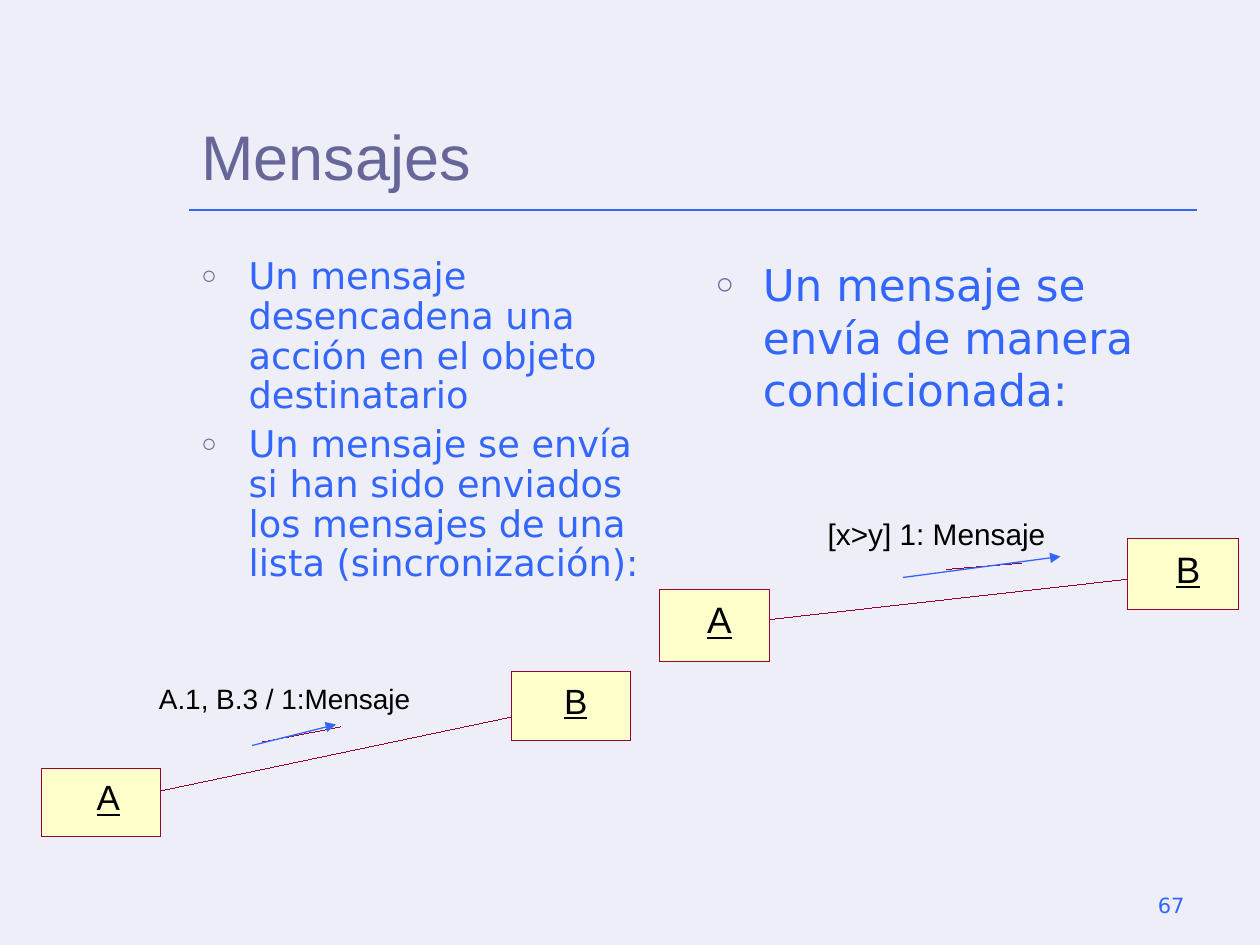
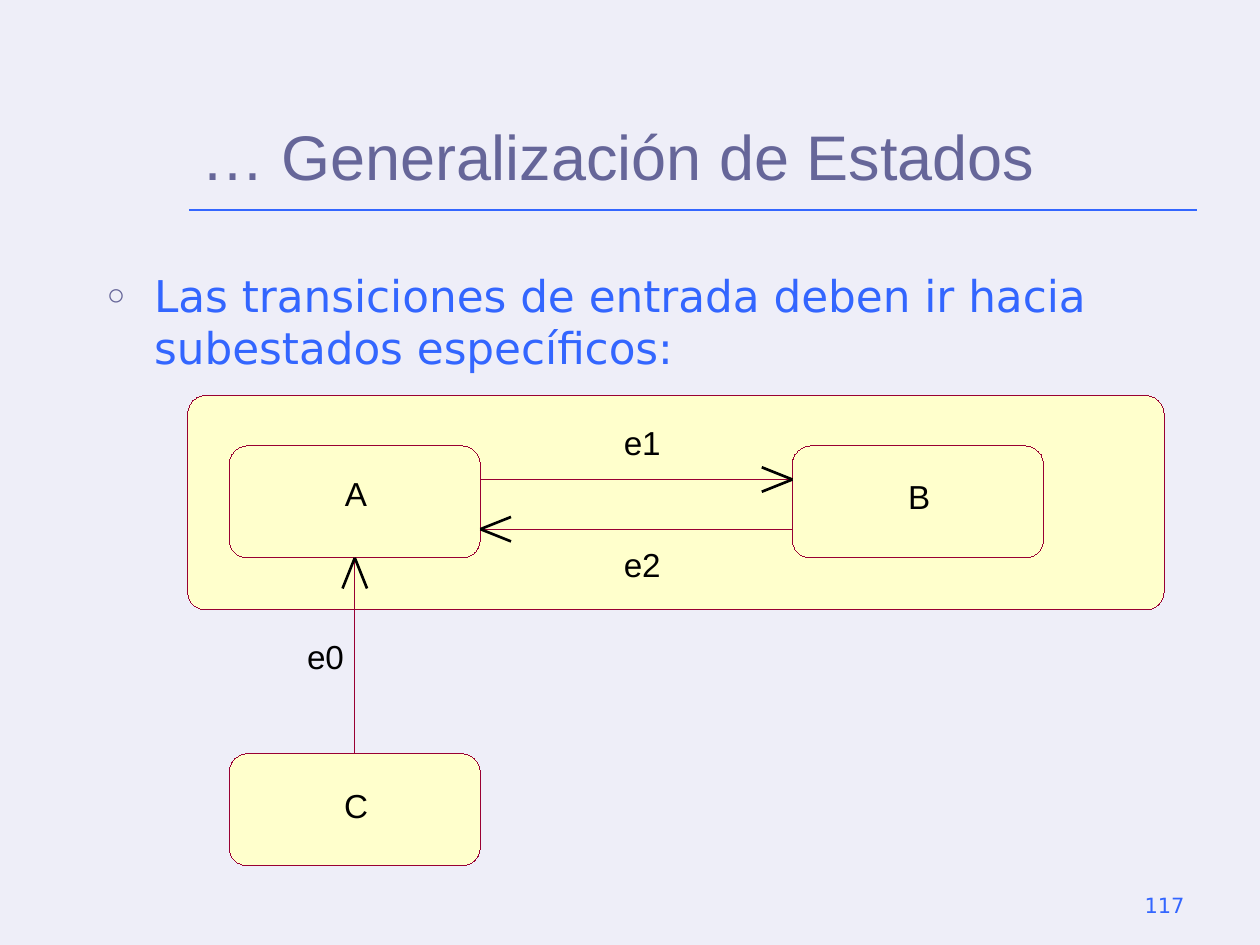
import math

from lxml import etree
from pptx import Presentation
from pptx.dml.color import RGBColor
from pptx.enum.shapes import MSO_CONNECTOR, MSO_SHAPE
from pptx.enum.text import MSO_ANCHOR, MSO_AUTO_SIZE, PP_ALIGN
from pptx.oxml.ns import qn
from pptx.util import Pt

# Shared style
BACKGROUND = RGBColor(0xEE, 0xEE, 0xF8)
BLUE = RGBColor(0x33, 0x66, 0xFF)
PURPLE = RGBColor(0x66, 0x66, 0x99)
YELLOW = RGBColor(0xFF, 0xFF, 0xCC)
CRIMSON = RGBColor(0x99, 0x00, 0x33)
BLACK = RGBColor(0, 0, 0)
DIAGRAM_FONT = "Arial"
BODY_FONT = "DejaVu Sans"

STRAIGHT = MSO_CONNECTOR.STRAIGHT
RECTANGLE = MSO_SHAPE.RECTANGLE
ROUNDED = MSO_SHAPE.ROUNDED_RECTANGLE
BOTTOM = MSO_ANCHOR.BOTTOM
CENTER = PP_ALIGN.CENTER
RIGHT = PP_ALIGN.RIGHT
GROW = MSO_AUTO_SIZE.SHAPE_TO_FIT_TEXT

TOP_SIDE, BOTTOM_SIDE = 0, 2
BULLET_INDENT = Pt(27)
HEAD_LENGTH, HEAD_HALF_WIDTH = 17.5, 7
STATE_WIDTH, STATE_HEIGHT = 143.5, 64
EVENT_WIDTH = 26
CORNER = 10.4


# Text
def add_text_frame(slide, left, top, width, height):
    box = slide.shapes.add_textbox(Pt(left), Pt(top), Pt(width), Pt(height))
    box.text_frame.word_wrap = True
    return box.text_frame


def add_run(paragraph, text, font_name, size, color, underline=None):
    run = paragraph.add_run()
    run.text = text
    run.font.name = font_name
    run.font.size = Pt(size)
    run.font.color.rgb = color
    run.font.underline = underline


def add_bullet(paragraph):
    properties = paragraph._p.get_or_add_pPr()
    properties.set("marL", str(BULLET_INDENT))
    properties.set("indent", str(-BULLET_INDENT))
    color = etree.SubElement(properties, qn("a:buClr"))
    etree.SubElement(color, qn("a:srgbClr"), val=str(PURPLE))
    etree.SubElement(properties, qn("a:buSzPct"), val="70000")
    etree.SubElement(properties, qn("a:buFont"), typeface=DIAGRAM_FONT)
    etree.SubElement(properties, qn("a:buChar"), char="○")


def add_bullets(slide, left, top, width, height, texts, size, line_spacing=None):
    frame = add_text_frame(slide, left, top, width, height)
    for index, text in enumerate(texts):
        paragraph = frame.add_paragraph() if index else frame.paragraphs[0]
        add_bullet(paragraph)
        paragraph.line_spacing = line_spacing
        paragraph.space_before = Pt(size / 4 if index else 0)
        add_run(paragraph, text, BODY_FONT, size, BLUE)


def add_label(slide, text, center_x, top, size, width=16, underline=None):
    frame = add_text_frame(slide, center_x - width / 2, top, width, size * 1.2)
    frame.margin_left = frame.margin_right = 0
    frame.margin_top = frame.margin_bottom = 0
    frame.word_wrap = False
    frame.auto_size = GROW
    frame.paragraphs[0].alignment = CENTER
    add_run(frame.paragraphs[0], text, DIAGRAM_FONT, size, BLACK, underline)


# Lines and boxes
def set_outline(shape, color, width):
    """Colour and width; a hairline needs its zero width written out."""
    shape.line.color.rgb = color
    outline = shape.line._get_or_add_ln()
    outline.set("w", str(Pt(width)))
    return outline


def add_line(slide, start, end, color=CRIMSON, width=0, arrow=False):
    line = slide.shapes.add_connector(STRAIGHT, *map(Pt, start + end))
    outline = set_outline(line, color, width)
    if arrow:
        etree.SubElement(outline, qn("a:tailEnd"), type="triangle")
    etree.SubElement(line._element.spPr, qn("a:effectLst"))
    return line


def add_open_arrow(slide, start, end):
    """Thin line with a wide open head at its end."""
    line = add_line(slide, start, end)
    length = math.dist(start, end)
    unit_x = (end[0] - start[0]) / length
    unit_y = (end[1] - start[1]) / length
    for side in (-HEAD_HALF_WIDTH, HEAD_HALF_WIDTH):
        wing = (end[0] - HEAD_LENGTH * unit_x - side * unit_y,
                end[1] - HEAD_LENGTH * unit_y + side * unit_x)
        add_line(slide, end, wing, BLACK, 1.5)
    return line


def add_box(slide, kind, left, top, width, height):
    box = slide.shapes.add_shape(kind, Pt(left), Pt(top), Pt(width), Pt(height))
    box.shadow.inherit = False
    box.fill.solid()
    box.fill.fore_color.rgb = YELLOW
    set_outline(box, CRIMSON, 0)
    if kind == ROUNDED:
        box.adjustments[0] = CORNER / min(width, height)
    return box


def add_object(slide, name, left, top, width, height, size, label_shift=2.8):
    add_box(slide, RECTANGLE, left, top, width, height)
    add_label(slide, name, left + width / 2 + label_shift, top + 4.2, size,
              underline=True)


def add_state(slide, name, left, top, label_drop):
    box = add_box(slide, ROUNDED, left, top, STATE_WIDTH, STATE_HEIGHT)
    add_label(slide, name, left + STATE_WIDTH / 2 + 0.7, top + label_drop, 19)
    return box


# Slides
def add_slide(presentation, title, number):
    slide = presentation.slides.add_slide(presentation.slide_layouts[6])
    add_line(slide, (108, 120), (684, 120), BLUE, 1)
    number_frame = add_text_frame(slide, 516, 492, 168, 36)
    number_frame.vertical_anchor = BOTTOM
    number_frame.paragraphs[0].alignment = RIGHT
    add_run(number_frame.paragraphs[0], number, BODY_FONT, 12, BLUE)
    title_frame = add_text_frame(slide, 108, 24, 576, 90)
    title_frame.vertical_anchor = BOTTOM
    add_run(title_frame.paragraphs[0], title, DIAGRAM_FONT, 36, PURPLE)
    return slide


def build_messages(presentation):
    slide = add_slide(presentation, "Mensajes", "67")
    add_bullets(slide, 108, 144, 282, 324, [
        "Un mensaje desencadena una acción en el objeto destinatario",
        "Un mensaje se envía si han sido enviados los mensajes de una "
        "lista (sincronización):",
    ], 21, 0.9)
    add_bullets(slide, 401.8, 144, 282, 324,
                ["Un mensaje se envía de manera condicionada:"], 25)

    # Synchronised message
    add_object(slide, "A", 23.8, 439.2, 68, 39, 20, label_shift=4.2)
    add_object(slide, "B", 292.3, 384, 68, 39, 20)
    add_line(slide, (91.5, 452), (292.3, 409.7))
    add_line(slide, (150, 424), (194.5, 415.4))
    add_label(slide, "A.1, B.3 / 1:Mensaje", 162.7, 389.5, 16, 144)
    add_line(slide, (144, 426), (192, 414), BLUE, 0.75, arrow=True)

    # Conditional message
    add_object(slide, "A", 376.6, 337, 63.4, 41, 21)
    add_object(slide, "B", 644.4, 308, 63.4, 40.3, 21)
    add_line(slide, (440, 354), (644.4, 331))
    add_line(slide, (540.7, 325.4), (584, 321.8))
    add_label(slide, "[x>y] 1: Mensaje", 535.3, 294.5, 17, 124.6)
    add_line(slide, (516, 330), (606, 318), BLUE, 0.75, arrow=True)


def build_states(presentation):
    slide = add_slide(presentation, "… Generalización de Estados", "117")
    add_bullets(slide, 54, 150, 612, 343.5, [
        "Las transiciones de entrada deben ir hacia subestados específicos:",
    ], 25)

    # Superstate and states
    left, right, top = 131, 452.8, 254.8
    state_c = add_state(slide, "C", left, 430.7, 18)
    add_box(slide, ROUNDED, 107.2, 226, 558, 122.5)
    state_a = add_state(slide, "A", left, top, 15.7)
    add_state(slide, "B", right, top, 17.4)

    # Transitions
    edge_a = left + STATE_WIDTH
    add_open_arrow(slide, (edge_a, 274), (right, 274))
    add_label(slide, "e1", 367, 241.2, 19, EVENT_WIDTH)
    add_open_arrow(slide, (right, 302.4), (edge_a, 302.4))
    add_label(slide, "e2", 367, 311.2, 19, EVENT_WIDTH)
    middle = left + STATE_WIDTH / 2
    entry = add_open_arrow(slide, (middle, 430.7), (middle, top + STATE_HEIGHT))
    entry.begin_connect(state_c, TOP_SIDE)
    entry.end_connect(state_a, BOTTOM_SIDE)
    add_label(slide, "e0", 186, 363.6, 19, EVENT_WIDTH)


def main():
    presentation = Presentation()
    presentation.slide_width = Pt(720)
    presentation.slide_height = Pt(540)
    background = presentation.slide_master.background.fill
    background.solid()
    background.fore_color.rgb = BACKGROUND
    build_messages(presentation)
    build_states(presentation)
    presentation.save("out.pptx")


if __name__ == "__main__":
    main()
